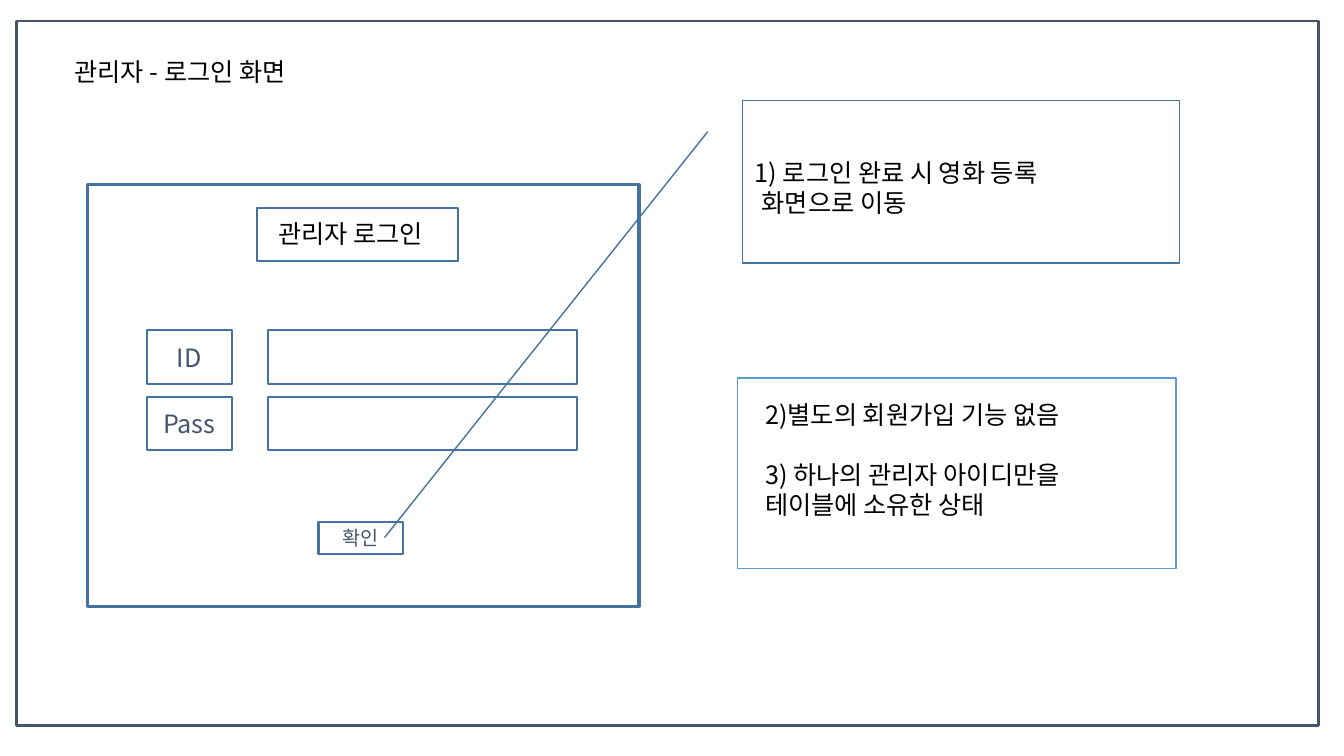
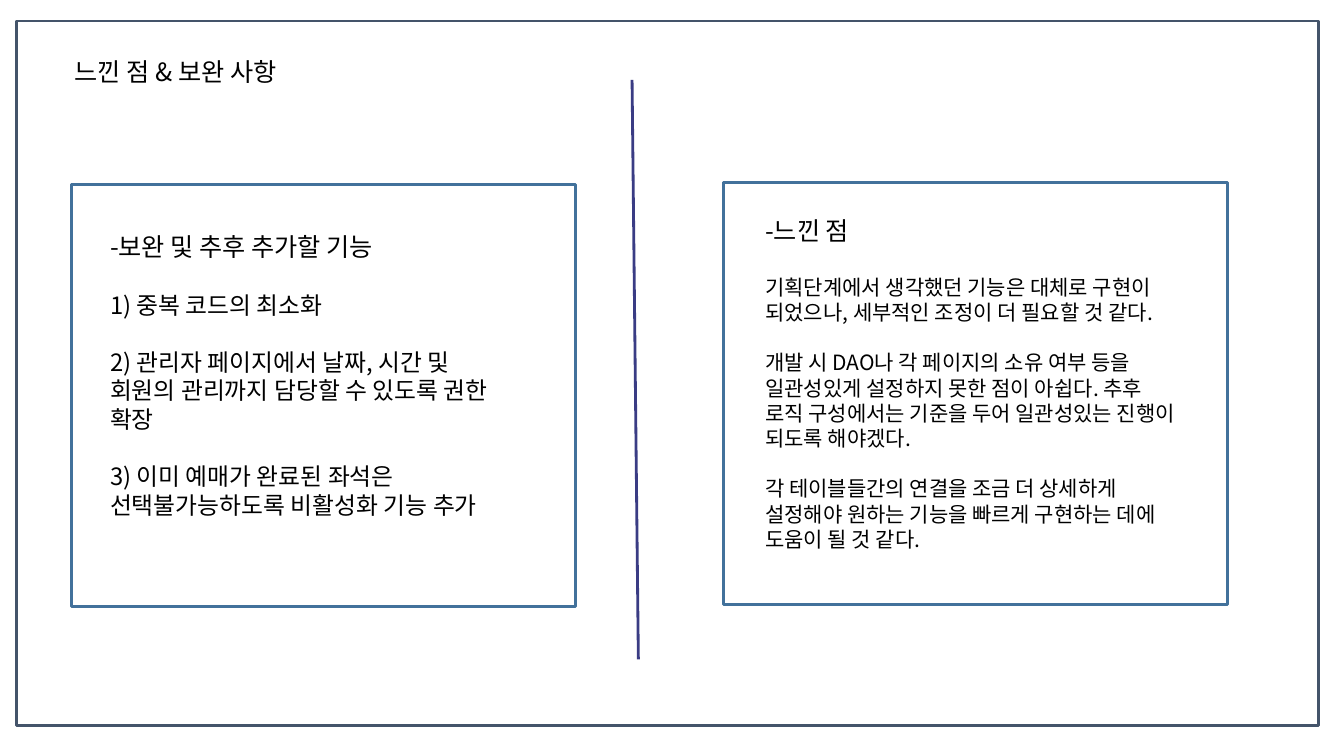
"""Build the admin login screen and the closing review slide."""
from dataclasses import dataclass

from lxml import etree
from pptx import Presentation
from pptx import util as u
from pptx.dml.color import RGBColor
from pptx.enum import shapes, text
from pptx.oxml.ns import qn

Pt = u.Pt
KIND = shapes.MSO_SHAPE
ALIGN = text.PP_ALIGN


@dataclass(frozen=True)
class Theme:
    """Hold the colours, type sizes and line widths."""
    face: str = "Noto Sans CJK KR"
    ink: str = "000000"
    slate: str = "44546A"
    blue: str = "43739E"
    deep: str = "42719B"
    sky: str = "5B9BD5"
    navy: str = "3A3C84"
    head: int = 18
    list: int = 17
    body: int = 15
    small: int = 14
    pitch: float = 1.2
    thick: float = 2.25
    mid: float = 1.5
    thin: float = 1


class Deck:
    """Draw styled elements on the current slide."""

    def __init__(self, theme):
        """Start a wide presentation."""
        self.theme = theme
        self.file = Presentation()
        self.file.slide_width, self.file.slide_height = Pt(960), Pt(540)
        self.slide = None

    def page(self, title):
        """Add a framed slide with its title."""
        layout = self.file.slide_layouts[5]
        self.slide = self.file.slides.add_slide(layout)
        self.box((12, 15, 930, 503.5), self.theme.slate, 2)
        head = self.slide.shapes.title
        spots = dict(left=46, top=36.5, width=341, height=29)
        for key, val in spots.items():
            setattr(head, key, Pt(val))
        self.fill(head, [(title, self.theme.head, 0)])

    def fill(self, shape, lines, color=None, **form):
        """Write (text, size, space before[, indent]) lines into a shape."""
        frame = shape.text_frame
        style = dict(word_wrap=True, vertical_anchor=text.MSO_ANCHOR.TOP,
                     auto_size=text.MSO_AUTO_SIZE.NONE)
        for key, val in style.items():
            setattr(frame, key, form.get(key, val))
        for i, (words, size, gap, *dent) in enumerate(lines):
            para = frame.add_paragraph() if i else frame.paragraphs[0]
            rules = dict(alignment=form.get("align", ALIGN.LEFT),
                         line_spacing=Pt(size * self.theme.pitch),
                         space_before=Pt(gap), space_after=Pt(0))
            for key, val in rules.items():
                setattr(para, key, val)
            if dent:
                para._p.get_or_add_pPr().set("marL", str(Pt(dent[0])))
            run = para.add_run()
            run.text = words
            for key, val in dict(name=self.theme.face, size=Pt(size)).items():
                setattr(run.font, key, val)
            run.font.color.rgb = RGBColor.from_string(color or self.theme.ink)
            east = etree.SubElement(run._r.get_or_add_rPr(), qn("a:ea"))
            east.set("typeface", self.theme.face)

    def box(self, spot, color, width, kind=KIND.RECTANGLE):
        """Add an unfilled outline."""
        shape = self.slide.shapes.add_shape(kind, *map(Pt, spot))
        shape.shadow.inherit = False
        shape.fill.background()
        shape.line.color.rgb = RGBColor.from_string(color)
        shape.line.width = Pt(width)
        return shape

    def label(self, spot, words, size):
        """Add an outline with a centred label."""
        shape = self.box(spot, self.theme.blue, self.theme.mid)
        self.fill(shape, [(words, size, 0)], self.theme.slate,
                  align=ALIGN.CENTER, vertical_anchor=text.MSO_ANCHOR.MIDDLE)

    def note(self, spot, lines, **form):
        """Add a plain text box."""
        shape = self.slide.shapes.add_textbox(*map(Pt, spot))
        self.fill(shape, lines, **form)

    def callout(self, spot, bends):
        """Add a box with a leader line."""
        shape = self.box(spot, self.theme.blue, self.theme.thin,
                         KIND.LINE_CALLOUT_1)
        for i, bend in enumerate(bends):
            shape.adjustments[i] = bend

    def rule(self, ends, color):
        """Add a hairline."""
        line = self.slide.shapes.add_connector(
            shapes.MSO_CONNECTOR.STRAIGHT, *map(Pt, ends))
        line.line.color.rgb = RGBColor.from_string(color)
        line.line.width = Pt(0)
        etree.SubElement(line._element.spPr, qn("a:effectLst"))


def login(deck):
    """Draw the login screen and its notes."""
    t = deck.theme
    deck.page("관리자 - 로그인 화면")
    deck.box((62.5, 132, 394, 301), t.blue, t.thick)
    deck.box((183.5, 148.5, 143.5, 38), t.blue, t.mid)
    deck.note((191.5, 152.5, 132, 29), [("관리자 로그인", t.head, 0)],
              word_wrap=False)
    for i, name in enumerate(("ID", "Pass")):
        top = 236 + 47.5 * i
        deck.label((105, top, 60.5, 38), name, t.head)
        deck.box((191.5, top, 220.5, 38), t.blue, t.mid)
    deck.label((227.5, 373, 60.5, 22.5), "확인", t.small)
    deck.callout((530.5, 72, 312, 116), (0.19, -0.08, 2.69, -0.82))
    deck.note((532, 108.5, 312, 50.5), [
        ("1) 로그인 완료 시 영화 등록", t.head, 0),
        ("화면으로 이동", t.head, 0, 5)])
    deck.box((527, 270, 313, 136), t.sky, t.thin)
    deck.note((539.5, 281.5, 286, 114.5), [
        ("2)별도의 회원가입 기능 없음", t.head, 0),
        ("3) 하나의 관리자 아이디만을", t.head, t.head * t.pitch),
        ("테이블에 소유한 상태", t.head, 0)])


def review(deck):
    """Draw the planned work and the lessons learned."""
    t = deck.theme
    gap, step = t.list * t.pitch, t.body * t.pitch
    deck.page("느낀 점 & 보완 사항")
    deck.rule((451.5, 57, 456, 471), t.navy)
    for left, top in ((51, 132), (517, 130.5)):
        deck.box((left, top, 360, 301), t.deep, t.thick)
    deck.note((71.5, 162, 311, 212.5), [
        ("-보완 및 추후 추가할 기능", t.head, 0),
        ("1) 중복 코드의 최소화", t.list, gap),
        ("2) 관리자 페이지에서 날짜, 시간 및", t.list, gap),
        ("회원의 관리까지 담당할 수 있도록 권한 확장", t.list, 0),
        ("3) 이미 예매가 완료된 좌석은 선택불가능하도록 비활성화 기능 추가",
         t.list, gap)])
    deck.note((539.5, 150.5, 311, 283), [
        ("-느낀 점", t.head, 0),
        ("기획단계에서 생각했던 기능은 대체로 구현이 되었으나, "
         "세부적인 조정이 더 필요할 것 같다.", t.body, gap),
        ("개발 시 DAO나 각 페이지의 소유 여부 등을 일관성있게 설정하지 "
         "못한 점이 아쉽다. 추후 로직 구성에서는 기준을 두어 일관성있는 "
         "진행이 되도록 해야겠다.", t.body, step),
        ("각 테이블들간의 연결을 조금 더 상세하게 설정해야 원하는 기능을 "
         "빠르게 구현하는 데에 도움이 될 것 같다.", t.body, step)])


def main():
    """Build and save both slides."""
    deck = Deck(Theme())
    login(deck)
    review(deck)
    deck.file.save("out.pptx")


if __name__ == "__main__":
    main()
